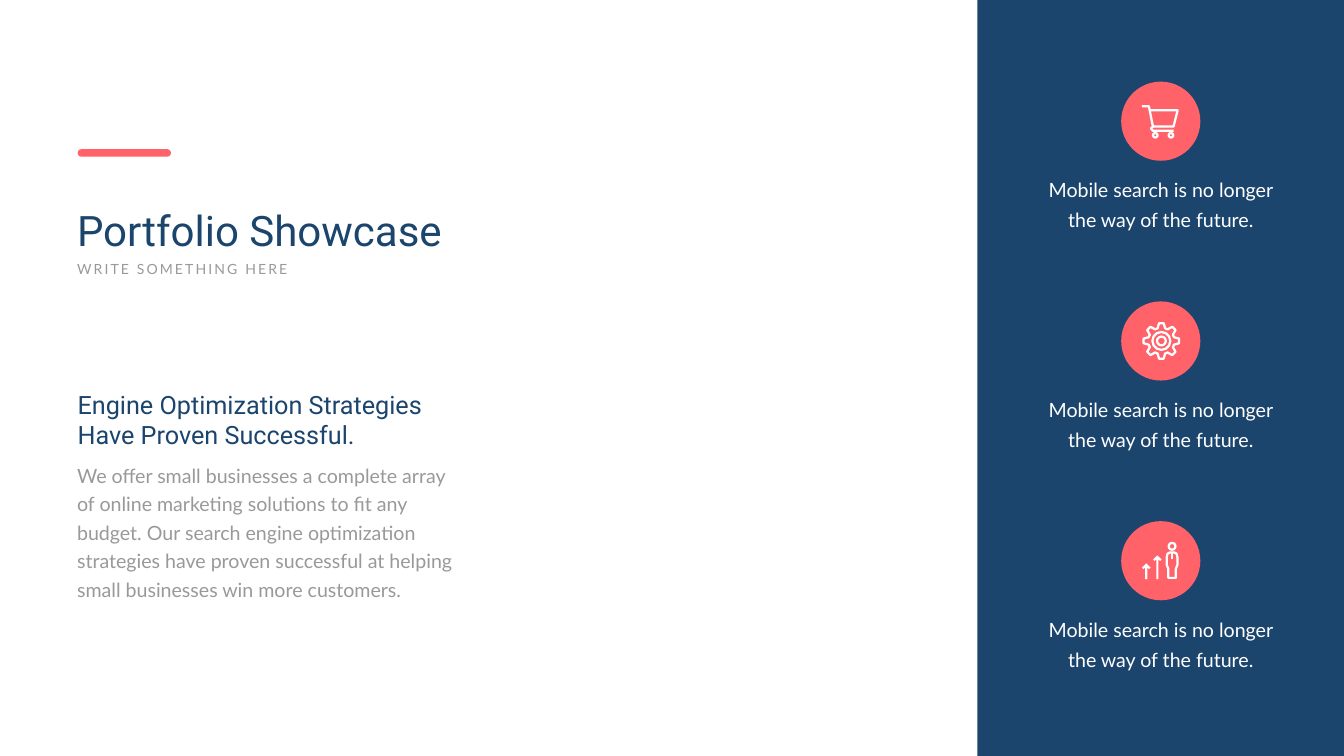
"""Build the portfolio showcase slide with its panel of three icon badges."""
import math

import pptx
import pptx.dml.color
import pptx.enum.shapes
import pptx.enum.text
import pptx.oxml
import pptx.util

WIDTH = pptx.util.Inches(26.66)
HEIGHT = pptx.util.Inches(15)
COLUMN = WIDTH / 100
ROW = HEIGHT / 100
BADGE = 10.47 * ROW
BADGE_UNIT = BADGE / 100
PANEL_LEFT = 72.73
PANEL_CENTER = (PANEL_LEFT + 100) / 2
FIRST_BADGE, FIRST_CAPTION, PITCH = 16.03, 21.87, 29.07
CAPTION_WIDTH = 19.28
NAVY, CORAL, GRAY, WHITE = "1C456D", "FF6269", "999999", "FFFFFF"
CAPTION = "Mobile search is no longer the way of the future."
BODY = (
    "We offer small businesses a complete array of online marketing solutions "
    "to fit any budget. Our search engine optimization strategies have proven "
    "successful at helping small businesses win more customers."
)
SHAPES = pptx.enum.shapes.MSO_SHAPE
ALIGN = pptx.enum.text.PP_ALIGN


def color(value):
    """Turn a hex string into a colour."""
    return pptx.dml.color.RGBColor.from_string(value)


def paint(shape, fill=None, stroke=None):
    """Give a shape a flat fill, a stroke, or both."""
    shape.shadow.inherit = False
    if fill:
        shape.fill.solid()
        shape.fill.fore_color.rgb = color(fill)
    else:
        shape.fill.background()
    if stroke:
        shape.line.color.rgb = color(stroke)
        shape.line.width = pptx.util.Pt(3.2)
    else:
        shape.line.fill.background()


def add_block(slide, kind, left, top, width, height, fill):
    """Add a filled preset shape placed in columns and rows."""
    shape = slide.shapes.add_shape(
        kind, round(left * COLUMN), round(top * ROW), round(width * COLUMN), round(height * ROW)
    )
    paint(shape, fill)
    return shape


def add_text(slide, text, left, top, width, height, font, size, hex_color,
             leading=None, align=ALIGN.LEFT, tracking=None):
    """Add a wrapped one-paragraph text box placed in columns and rows."""
    box = slide.shapes.add_textbox(
        round(left * COLUMN), round(top * ROW), round(width * COLUMN), round(height * ROW)
    )
    frame = box.text_frame
    frame.word_wrap = True
    frame.auto_size = pptx.enum.text.MSO_AUTO_SIZE.SHAPE_TO_FIT_TEXT
    paragraph = frame.paragraphs[0]
    run = paragraph.add_run()
    run.text = text
    paragraph.alignment = align
    paragraph.font.name = font
    paragraph.font.size = pptx.util.Pt(size)
    paragraph.font.color.rgb = color(hex_color)
    if leading:
        paragraph.line_spacing = pptx.util.Pt(leading)
        frame.margin_left = frame.margin_right = round(0.9 * COLUMN)
        frame.margin_top = frame.margin_bottom = round(0.8 * ROW)
    if tracking:
        run.font._element.set("spc", str(tracking * 100))


def badge_point(center, x, y):
    """Locate an offset, in hundredths of a badge, from the badge center."""
    return round(center[0] + x * BADGE_UNIT), round(center[1] + y * BADGE_UNIT)


def add_outline(slide, center, points, closed=True, filled=False):
    """Draw an icon outline through offsets from the badge center."""
    first, *rest = [badge_point(center, x, y) for x, y in points]
    builder = slide.shapes.build_freeform(*first)
    builder.add_line_segments(rest, close=closed)
    shape = builder.convert_to_shape()
    paint(shape, WHITE if filled else None, None if filled else WHITE)


def add_ring(slide, center, x, y, diameter):
    """Draw a circular icon stroke around an offset from the badge center."""
    left, top = badge_point(center, x - diameter / 2, y - diameter / 2)
    size = round(diameter * BADGE_UNIT)
    paint(slide.shapes.add_shape(SHAPES.OVAL, left, top, size, size), stroke=WHITE)


def add_stroke(slide, center, start, end):
    """Draw a straight icon stroke between two offsets."""
    line = slide.shapes.add_connector(
        pptx.enum.shapes.MSO_CONNECTOR.STRAIGHT,
        *badge_point(center, *start), *badge_point(center, *end),
    )
    line.line.color.rgb = color(WHITE)
    line.line.width = pptx.util.Pt(3.2)
    line._element.spPr.append(pptx.oxml.parse_xml(
        '<a:effectLst xmlns:a="http://schemas.openxmlformats.org/drawingml/2006/main"/>'
    ))


def mirrored(axis, right_half):
    """Complete a symmetric outline from its right half."""
    right = [(axis + x, y) for x, y in right_half]
    left = [(axis - x, y) for x, y in reversed(right_half)]
    return right + left


def draw_cart(slide, center):
    """Draw a shopping cart."""
    basket = [(-23.9, -18.8), (-15, -18.8), (-9.9, 6.7), (16.2, 6.7), (21.3, -13.7), (-13.7, -13.7)]
    chassis = [(-9.9, 6.7), (-12.4, 9.2), (-9.9, 12.1), (16.2, 12.1)]
    for points in (basket, chassis):
        add_outline(slide, center, points, closed=False)
    for x in (-6.9, 12.9):
        add_ring(slide, center, x, 17.8, 5.7)


def draw_gear(slide, center):
    """Draw an eight-toothed gear."""
    tooth = [(16.6, -16.5), (22.6, -7.5), (22.6, 7.5), (16.6, 16.5)]
    points = []
    for turn in range(0, 360, 45):
        for radius, degrees in tooth:
            angle = math.radians(turn + degrees)
            points.append((0.8 + radius * math.cos(angle), radius * math.sin(angle)))
    add_outline(slide, center, points)
    for diameter in (22.6, 11.1):
        add_ring(slide, center, 0.8, 0, diameter)


def draw_growth(slide, center):
    """Draw a person beside two rising arrows."""
    axis = 14.3
    body = [(2.5, -10.5), (5.7, -8.9), (6.7, -4.8), (6.7, 5.4), (4.8, 10.2), (4.8, 21.7)]
    add_outline(slide, center, mirrored(axis, body))
    add_stroke(slide, center, (axis, -10.5), (axis, -1.6))
    add_ring(slide, center, axis, -18.2, 8.6)
    for x, tip in ((-4.3, -6.7), (-18.3, 3.5)):
        arrow = [(0, tip), (5.4, tip + 5.1), (3.5, tip + 7), (1.3, tip + 5.1), (1.3, 23.2)]
        add_outline(slide, center, mirrored(x, arrow), filled=True)


def add_feature(slide, index, draw_icon):
    """Add one badge with its icon and caption to the panel."""
    middle = FIRST_BADGE + index * PITCH
    columns, rows = BADGE / COLUMN, BADGE / ROW
    add_block(slide, SHAPES.OVAL, PANEL_CENTER - columns / 2, middle - rows / 2, columns, rows, CORAL)
    draw_icon(slide, (PANEL_CENTER * COLUMN, middle * ROW))
    add_text(slide, CAPTION, PANEL_CENTER - CAPTION_WIDTH / 2, FIRST_CAPTION + index * PITCH,
             CAPTION_WIDTH, 9.2, "Lato", 28, WHITE, leading=43, align=ALIGN.CENTER)


def main():
    """Build and save the slide."""
    presentation = pptx.Presentation()
    presentation.slide_width, presentation.slide_height = WIDTH, HEIGHT
    slide = presentation.slides.add_slide(presentation.slide_layouts[6])
    add_text(slide, "Portfolio Showcase", 5.36, 26.67, 29.97, 7.4, "Roboto", 60, NAVY)
    add_text(slide, "WRITE SOMETHING HERE", 5.36, 34.07, 21.94, 2.93, "Lato", 20, GRAY, tracking=3)
    accent = add_block(slide, SHAPES.ROUNDED_RECTANGLE, 5.78, 19.73, 6.94, 1, CORAL)
    accent.adjustments[0] = 0.5
    add_text(slide, BODY, 4.84, 59.87, 30.53, 20.4, "Lato", 28, GRAY, leading=40.8)
    add_text(slide, "Engine Optimization Strategies Have Proven Successful.",
             5.4, 51.13, 30.42, 8.73, "Roboto", 36, NAVY)
    add_block(slide, SHAPES.RECTANGLE, PANEL_LEFT, 0, 100 - PANEL_LEFT, 100, NAVY)
    for index, draw_icon in enumerate((draw_cart, draw_gear, draw_growth)):
        add_feature(slide, index, draw_icon)
    presentation.save("out.pptx")


if __name__ == "__main__":
    main()
